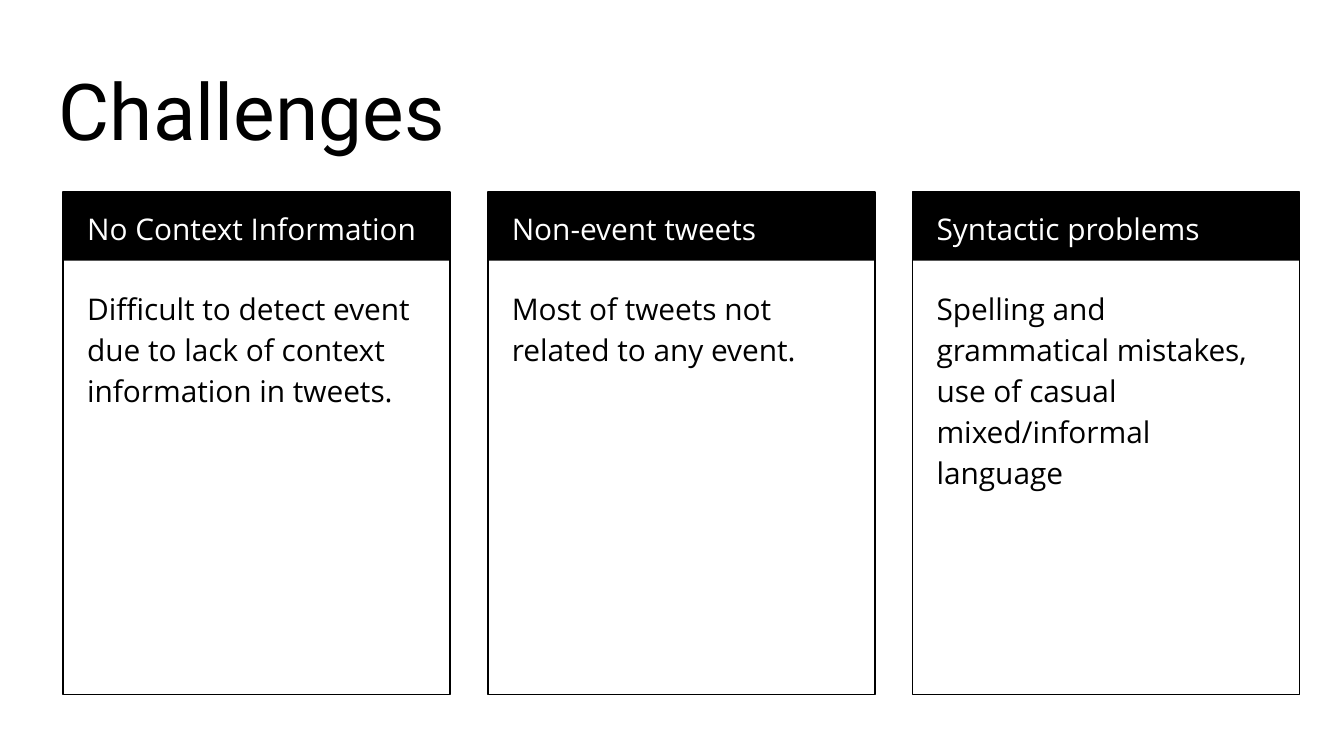
from dataclasses import dataclass
from typing import Any

from pptx import Presentation
from pptx.dml.color import RGBColor
from pptx.enum.shapes import MSO_SHAPE as Shape
from pptx.enum.text import MSO_ANCHOR as Anchor
from pptx.util import Inches, Pt

WIDTH = 10
HEIGHT = WIDTH * 9 / 16
CARDS = [
    ("No Context Information",
     "Difficult to detect event due to lack of context information in tweets."),
    ("Non-event tweets", "Most of tweets not related to any event."),
    ("Syntactic problems",
     "Spelling and grammatical mistakes, use of casual mixed/informal language"),
]


def color(hex_value):
    return RGBColor.from_string(hex_value)


@dataclass
class Deck:
    slide: Any
    ink: str = "000000"
    paper: str = "FFFFFF"
    title_font: str = "Roboto"
    body_font: str = "Open Sans"
    first_column: float = 0.47
    column_step: float = 3.16
    card_width: float = 2.88
    card_top: float = 1.43
    card_height: float = 3.74
    band_height: float = 0.51
    text_inset: float = 0.08
    body_top: float = 2.02

    def text(self, words, box, size=16, font=None, ink=None,
             anchor=Anchor.TOP, spacing=1.15, after=0):
        frame = self.slide.shapes.add_textbox(*map(Inches, box)).text_frame
        frame.word_wrap = True
        frame.vertical_anchor = anchor
        frame.margin_left = frame.margin_right = Inches(0.1)
        frame.margin_top = frame.margin_bottom = Inches(0.1)
        paragraph = frame.paragraphs[0]
        paragraph.line_spacing = spacing
        paragraph.space_after = Pt(after)
        run = paragraph.add_run()
        run.text = words
        run.font.size = Pt(size)
        run.font.name = font or self.body_font
        run.font.color.rgb = color(ink or self.ink)

    def title(self, words):
        self.text(words, (0.34, 0.35, 9.32, 0.91), size=42,
                  font=self.title_font, anchor=Anchor.BOTTOM, spacing=1)

    def rectangle(self, parent, box, fill=None, line=None):
        rect = parent.shapes.add_shape(Shape.RECTANGLE, *map(Inches, box))
        rect.shadow.inherit = False
        if fill:
            rect.fill.solid()
            rect.fill.fore_color.rgb = color(fill)
        else:
            rect.fill.background()
        if line:
            rect.line.color.rgb = color(line)
            rect.line.width = Pt(0.75)
        else:
            rect.line.fill.background()

    def card(self, column, heading, body):
        """Draw a framed card with a filled heading band in a grid column."""
        left = self.first_column + column * self.column_step
        text_left = left + self.text_inset
        text_width = self.card_width - 2 * self.text_inset
        panel = self.slide.shapes.add_group_shape()
        self.rectangle(panel, (left, self.card_top, self.card_width,
                               self.band_height), fill=self.ink)
        self.rectangle(panel, (left, self.card_top, self.card_width,
                               self.card_height), line=self.ink)
        self.text(heading, (text_left, self.card_top, text_width,
                            self.band_height), ink=self.paper)
        self.text(body, (text_left, self.body_top, text_width, 3.06), after=16)


def main():
    presentation = Presentation()
    presentation.slide_width = Inches(WIDTH)
    presentation.slide_height = Inches(HEIGHT)
    blank = presentation.slide_layouts[6]
    deck = Deck(presentation.slides.add_slide(blank))
    deck.title("Challenges")
    for column, (heading, body) in enumerate(CARDS):
        deck.card(column, heading, body)
    presentation.save("out.pptx")


if __name__ == "__main__":
    main()
